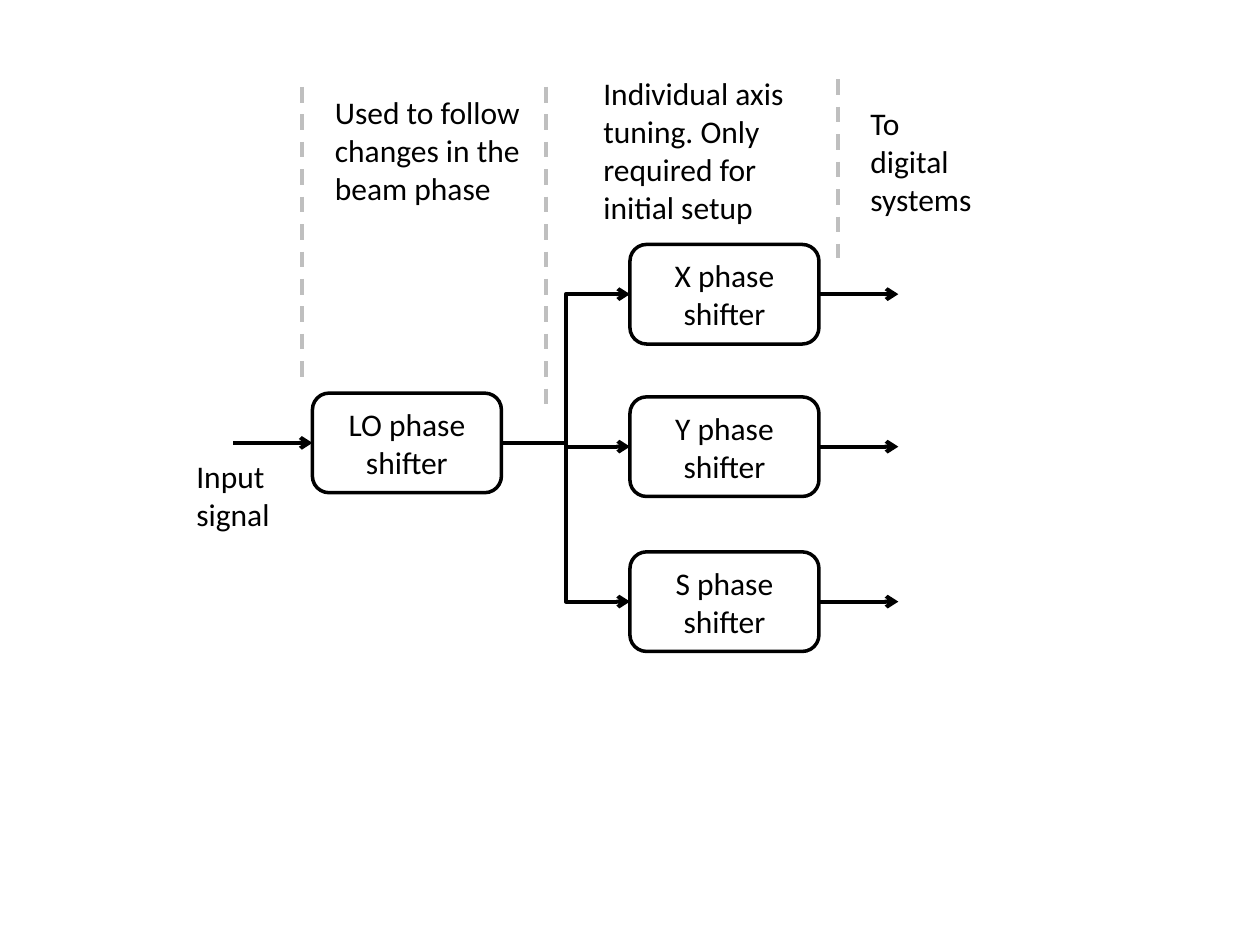
"""Build a slide with a block diagram of the LO, X, Y and S phase shifters."""
from lxml import etree
from pptx import Presentation
from pptx.dml.color import RGBColor
from pptx.enum.dml import MSO_LINE
from pptx.enum.shapes import MSO_CONNECTOR, MSO_SHAPE
from pptx.enum.text import MSO_ANCHOR, MSO_AUTO_SIZE, PP_ALIGN
from pptx.oxml.ns import qn
from pptx.util import Inches, Pt

BLACK = RGBColor(0x00, 0x00, 0x00)
GREY = RGBColor(0xBF, 0xBF, 0xBF)
STRAIGHT, ELBOW = MSO_CONNECTOR.STRAIGHT, MSO_CONNECTOR.ELBOW
ROUNDED = MSO_SHAPE.ROUNDED_RECTANGLE
DASH = MSO_LINE.DASH
LEFT, CENTER = PP_ALIGN.LEFT, PP_ALIGN.CENTER
TOP, MIDDLE = MSO_ANCHOR.TOP, MSO_ANCHOR.MIDDLE
FIT_SHAPE = MSO_AUTO_SIZE.SHAPE_TO_FIT_TEXT
LEFT_SITE, RIGHT_SITE = 1, 3
BOX_WIDTH, BOX_HEIGHT, ARROW_LENGTH = 1.5, 0.79, 0.63


def write_text(box, text, align=LEFT, anchor=TOP, size=18, color=BLACK):
    frame = box.text_frame
    frame.word_wrap = True
    frame.vertical_anchor = anchor
    para = frame.paragraphs[0]
    para.alignment = align
    span = para.add_run()
    span.text = text
    span.font.name = "Calibri"
    span.font.size = Pt(size)
    span.font.color.rgb = color


def draw_line(start, end, kind=STRAIGHT, color=BLACK, dash=None, arrow=True):
    points = [Inches(value) for value in (*start, *end)]
    connector = page.shapes.add_connector(kind, *points)
    connector.line.color.rgb = color
    connector.line.width = Pt(2.25)
    if dash:
        connector.line.dash_style = dash
    if arrow:
        outline = connector.line._get_or_add_ln()
        etree.SubElement(outline, qn("a:tailEnd"), type="arrow")
    etree.SubElement(connector._element.spPr, qn("a:effectLst"))
    return connector


deck = Presentation()
deck.slide_width = Inches(10)
deck.slide_height = Inches(7.5)
page = deck.slides.add_slide(deck.slide_layouts[6])

shifters = {}
for name, left, top in [("LO", 2.48, 3.12), ("S", 5, 4.38), ("Y", 5, 3.15), ("X", 5, 1.94)]:
    box = page.shapes.add_shape(
        ROUNDED, Inches(left), Inches(top), Inches(BOX_WIDTH), Inches(BOX_HEIGHT)
    )
    box.shadow.inherit = False
    box.fill.background()
    box.line.color.rgb = BLACK
    box.line.width = Pt(2)
    write_text(box, f"{name} phase shifter", align=CENTER, anchor=MIDDLE)
    shifters[name] = (box, left, top + BOX_HEIGHT / 2)

source, source_left, source_middle = shifters["LO"]
source_right = source_left + BOX_WIDTH
for name in "XYS":
    target, left, middle = shifters[name]
    right = left + BOX_WIDTH
    branch = draw_line((source_right, source_middle), (left, middle), kind=ELBOW)
    branch.begin_connect(source, RIGHT_SITE)
    branch.end_connect(target, LEFT_SITE)
    output = draw_line((right, middle), (right + ARROW_LENGTH, middle))
    output.begin_connect(target, RIGHT_SITE)

signal = draw_line((source_left - ARROW_LENGTH, source_middle), (source_left, source_middle))
signal.end_connect(source, LEFT_SITE)

for x, top, bottom in [(2.4, 0.69, 3.04), (4.33, 0.69, 3.28), (6.65, 0.63, 2.05)]:
    draw_line((x, top), (x, bottom), color=GREY, dash=DASH, arrow=False)

for text, left, top, width, height in [
    ("To digital systems", 6.81, 0.78, 1.1, 1.01),
    ("Used to follow changes in the beam phase", 2.56, 0.69, 1.77, 1.01),
    ("Individual axis tuning. Only required for initial setup", 4.69, 0.54, 1.65, 1.31),
    ("Input signal", 1.46, 3.58, 0.79, 0.71),
]:
    label = page.shapes.add_textbox(Inches(left), Inches(top), Inches(width), Inches(height))
    write_text(label, text)
    label.text_frame.auto_size = FIT_SHAPE

deck.save("out.pptx")
